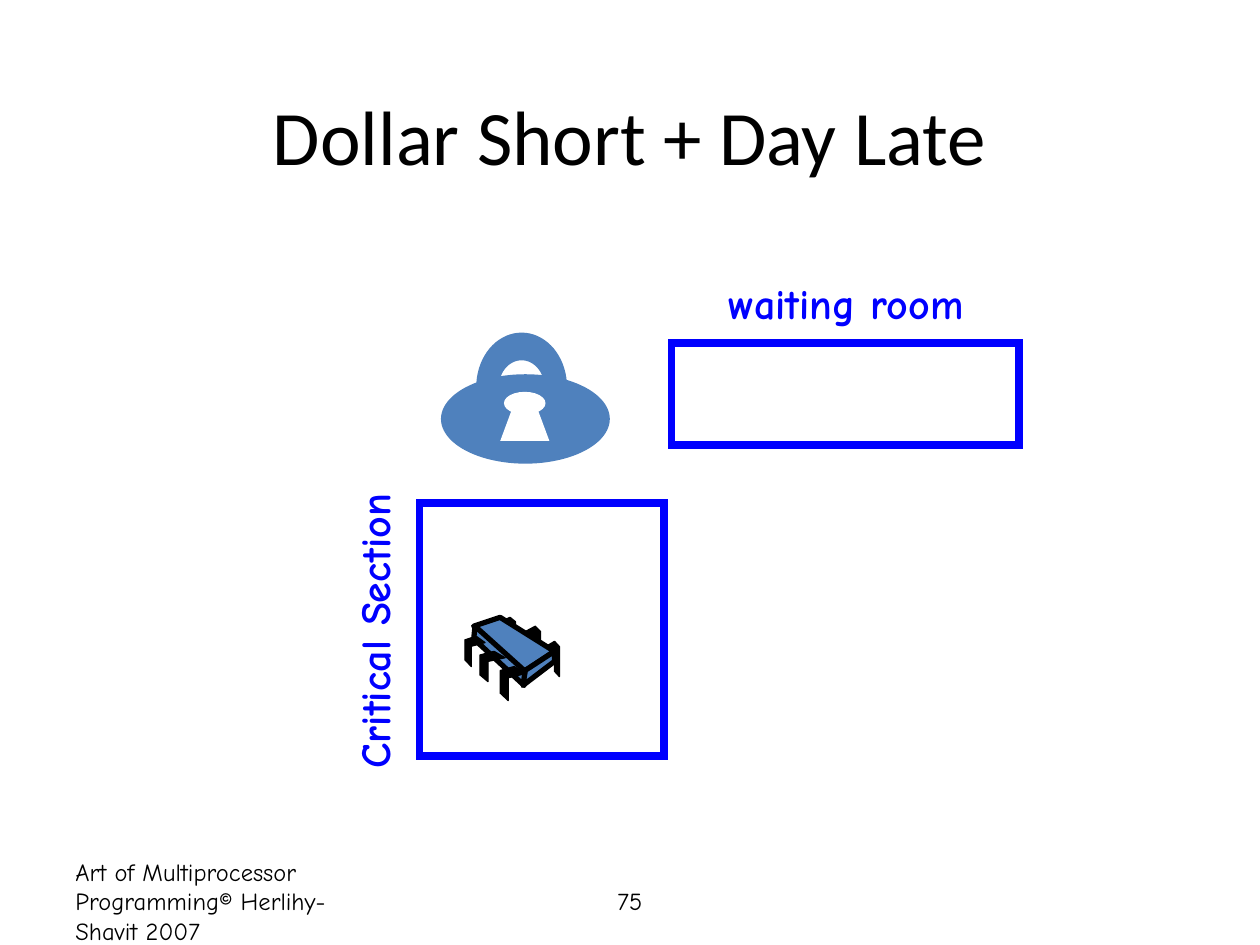
import math

import pptx
import pptx.dml.color
import pptx.enum.shapes
import pptx.enum.text
import pptx.oxml.ns
import pptx.util
from lxml import etree

COLUMNS, ROWS = 10, 7.5
CELL = pptx.util.Inches(1)
BLUE, STEEL, BLACK, WHITE = "0000FF", "4F81BD", "000000", "FFFFFF"
HAND_FONT, TITLE_FONT = "Comic Neue", "Calibri"
SHAPES = pptx.enum.shapes.MSO_SHAPE
ALIGN = pptx.enum.text.PP_ALIGN
ANCHOR = pptx.enum.text.MSO_ANCHOR


def color(hex_string):
    return pptx.dml.color.RGBColor.from_string(hex_string)


def emu(*cells):
    return [round(cell * CELL) for cell in cells]


def inner(box, columns, rows):
    """Return a function mapping points of a columns x rows grid into box."""
    left, top, width, height = box
    return lambda x, y: (left + x / columns * width, top + y / rows * height)


def inner_box(grid, x, y, width, height):
    (left, top), (right, bottom) = grid(x, y), grid(x + width, y + height)
    return left, top, right - left, bottom - top


def paint(shape, fill=None, line=None, weight=0.75):
    shape.shadow.inherit = False
    if fill:
        shape.fill.solid()
        shape.fill.fore_color.rgb = color(fill)
    else:
        shape.fill.background()
    if line:
        shape.line.color.rgb = color(line)
        shape.line.width = pptx.util.Pt(weight)
    else:
        shape.line.fill.background()


def preset(slide, kind, box, **look):
    shape = slide.shapes.add_shape(kind, *emu(*box))
    paint(shape, **look)
    return shape


def outline(slide, points, **look):
    corners = [tuple(emu(*point)) for point in points]
    builder = slide.shapes.build_freeform(*corners[0], scale=1.0)
    builder.add_line_segments(corners[1:], close=True)
    paint(builder.convert_to_shape(), **look)


def text(slide, words, box, size=14, font=HAND_FONT, ink=BLACK, bold=False,
         align=ALIGN.LEFT, anchor=ANCHOR.MIDDLE, wrap=True, rotation=0):
    label = slide.shapes.add_textbox(*emu(*box))
    label.rotation = rotation
    frame = label.text_frame
    frame.word_wrap = wrap
    frame.vertical_anchor = anchor
    if not wrap:
        frame.auto_size = pptx.enum.text.MSO_AUTO_SIZE.SHAPE_TO_FIT_TEXT
    paragraph = frame.paragraphs[0]
    paragraph.alignment = align
    run = paragraph.add_run()
    run.text = words
    run.font.size = pptx.util.Pt(size)
    run.font.name = font
    run.font.bold = bold
    run.font.color.rgb = color(ink)


def room(slide, box, name, name_box, rotation=0):
    """A square-cornered frame with its name beside it."""
    frame = preset(slide, SHAPES.RECTANGLE, box, line=BLUE, weight=4.5)
    etree.SubElement(frame.line._get_or_add_ln(),
                     pptx.oxml.ns.qn("a:miter"), lim="800000")
    text(slide, name, name_box, size=24, ink=BLUE, bold=True,
         anchor=ANCHOR.TOP, wrap=False, rotation=rotation)


def padlock(slide, box):
    grid = inner(box, 134, 104)
    # Body and keyhole
    preset(slide, SHAPES.OVAL, inner_box(grid, 0, 33, 134, 71), fill=STEEL)
    preset(slide, SHAPES.OVAL, inner_box(grid, 50, 47, 33, 18), fill=WHITE)
    keyhole = [(47, 86), (57, 59), (76, 59), (86, 86)]
    outline(slide, [grid(*point) for point in keyhole], fill=WHITE)

    # Shackle: outer half ring, then the inner one back
    def half_ring(radius_x, radius_y):
        angles = [math.radians(degrees) for degrees in range(0, 181, 5)]
        return [grid(64 - radius_x * math.cos(a), 43 - radius_y * math.sin(a))
                for a in angles]

    outline(slide, half_ring(36, 43) + half_ring(18, 21)[::-1], fill=STEEL)


def chip(slide, box):
    grid = inner(box, 75, 66)
    back_pin = [(0, .15), (.65, 0), (1, .15), (1, 1), (.65, .85), (.65, .3), (0, .44)]
    front_pin = [(.56, 0), (1, .21), (.32, .33), (.32, 1), (0, .78), (0, .12)]
    back_places = [(64, 19, 11, 28), (48, 7, 12, 28), (28, 0, 12, 23)]
    front_places = [(28, 39, 20, 27), (12, 27, 20, 24), (0, 15, 16, 24)]
    faces = [
        [(28, 0), (71, 27), (47, 43), (7, 7)],
        [(8, 7), (48, 43), (47, 54), (7, 17)],
        [(71, 27), (71, 35), (46, 54), (48, 42)],
    ]

    def pins(pin, places):
        for place in places:
            spot = inner(inner_box(grid, *place), 1, 1)
            outline(slide, [spot(*point) for point in pin], fill=BLACK, line=BLACK)

    pins(back_pin, back_places)
    for face in faces:
        outline(slide, [grid(*point) for point in face],
                fill=STEEL, line=BLACK, weight=3)
    pins(front_pin, front_places)


def footer(slide, box):
    left, top, width, height = box
    text(slide, "Art of Multiprocessor Programming© Herlihy-Shavit 2007",
         (left, top, 2.33, height))
    number_width = 3.17
    text(slide, "75", (left + (width - number_width) / 2, top, number_width, height),
         align=ALIGN.CENTER)


def main():
    deck = pptx.Presentation()
    deck.slide_width, deck.slide_height = emu(COLUMNS, ROWS)
    slide = deck.slides.add_slide(deck.slide_layouts[6])

    footer(slide, (0.5, 6.95, COLUMNS - 1, 0.4))
    text(slide, "Dollar Short + Day Late", (0.75, 0.44, COLUMNS - 1.5, 1.25),
         size=44, font=TITLE_FONT, align=ALIGN.CENTER)
    room(slide, (3.33, 3.99, 1.94, 2.01), "Critical Section",
         (1.62, 4.6, 2.69, 0.5), rotation=270)
    room(slide, (5.33, 2.72, 2.76, 0.81), "waiting room", (5.68, 2.15, 2.22, 0.5))
    padlock(slide, (3.5, 2.64, 1.34, 1.04))
    chip(slide, (3.69, 4.9, 0.75, 0.66))

    deck.save("out.pptx")


if __name__ == "__main__":
    main()
